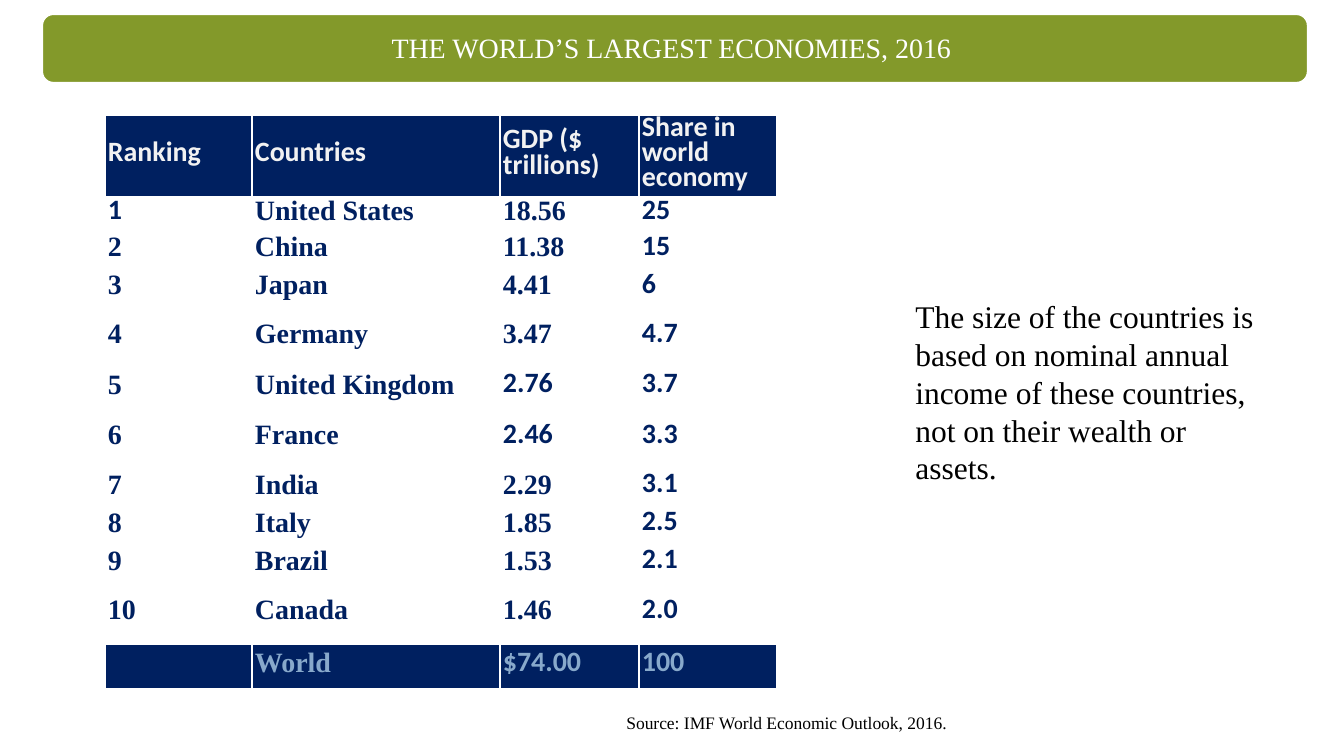
import pptx
import pptx.dml.color
import pptx.enum.shapes
import pptx.enum.text
import pptx.oxml
import pptx.oxml.ns
import pptx.util
from dataclasses import dataclass

SCALE = 914400 // 126
INK = {"white": "FFFFFF", "green": "83992A", "navy": "002060",
       "pale": "F2F2F2", "blue": "88A9CB", "black": "000000"}
FACES = {"C": "Calibri", "T": "Times New Roman"}
WIDTHS = [147, 248, 139, 138]


@dataclass
class Box:
    left: int
    top: int
    width: int
    height: int

    def emu(self) -> list[int]:
        return [px(n) for n in (self.left, self.top, self.width, self.height)]


@dataclass
class Row:
    height: int
    texts: list[str]
    faces: str = "TTTC"
    ink: str = "navy"
    fill: str = ""
    rule: float = 1


ROWS = [
    Row(83, ["Ranking", "Countries", "GDP ($ trillions)", "Share in world economy"],
        "CCCC", "pale", "navy", 3),
    Row(33, ["1", "United States", "18.56", "25"], "CTTC"),
    Row(38, ["2", "China", "11.38", "15"]),
    Row(38, ["3", "Japan", "4.41", "6"]),
    Row(61, ["4", "Germany", "3.47", "4.7"]),
    Row(40, ["5", "United Kingdom", "2.76", "3.7"], "TTCC"),
    Row(61, ["6", "France", "2.46", "3.3"], "TTCC"),
    Row(38, ["7", "India", "2.29", "3.1"]),
    Row(38, ["8", "Italy", "1.85", "2.5"]),
    Row(38, ["9", "Brazil", "1.53", "2.1"]),
    Row(61, ["10", "Canada", "1.46", "2.0"]),
    Row(36, ["", "World", "$74.00", "100"], "TTCC", "blue", "navy"),
]


def px(num: int) -> int:
    return num * SCALE


def hue(name: str) -> pptx.dml.color.RGBColor:
    return pptx.dml.color.RGBColor.from_string(INK[name])


def style(frame, face: str, size: int, ink: str, bold: bool = False) -> None:
    for para in frame.paragraphs:
        for run in para.runs:
            run.font.name = FACES[face]
            run.font.size = pptx.util.Pt(size)
            run.font.bold = bold
            run.font.color.rgb = hue(ink)


def edge(cell, rules: dict[str, float]) -> None:
    props = cell._tc.get_or_add_tcPr()
    for spot, (side, width) in enumerate(rules.items()):
        props.insert(spot, pptx.oxml.parse_xml(
            f'<a:{side} {pptx.oxml.ns.nsdecls("a")} w="{pptx.util.Pt(width)}">'
            f'<a:solidFill><a:srgbClr val="{INK["white"]}"/></a:solidFill></a:{side}>'))


def draw_cell(cell, text: str, face: str, row: Row, above: float) -> None:
    cell.margin_left = cell.margin_right = px(3)
    cell.margin_top = cell.margin_bottom = px(3)
    cell.vertical_anchor = pptx.enum.text.MSO_ANCHOR.MIDDLE
    if row.fill:
        cell.fill.solid()
        cell.fill.fore_color.rgb = hue(row.fill)
    else:
        cell.fill.background()
    edge(cell, {"lnL": 1, "lnR": 1, "lnT": above, "lnB": row.rule})
    frame = cell.text_frame
    frame.text = text
    frame.paragraphs[0].line_spacing = pptx.util.Pt(14.4)
    style(frame, face, 16, row.ink, True)


def draw_table(slide, left: int, top: int) -> None:
    box = Box(left, top, sum(WIDTHS), sum(row.height for row in ROWS))
    table = slide.shapes.add_table(len(ROWS), len(WIDTHS), *box.emu()).table
    table.first_row = table.horz_banding = False
    for col, width in zip(table.columns, WIDTHS):
        col.width = px(width)
    above = 1
    for line, row in zip(table.rows, ROWS):
        line.height = px(row.height)
        for cell, text, face in zip(line.cells, row.texts, row.faces):
            draw_cell(cell, text, face, row, above)
        above = row.rule


def draw_title(slide, text: str) -> None:
    bar = slide.shapes.add_shape(
        pptx.enum.shapes.MSO_SHAPE.ROUNDED_RECTANGLE, *Box(42, 14, 1266, 69).emu())
    bar.shadow.inherit = False
    bar.fill.solid()
    bar.fill.fore_color.rgb = hue("green")
    bar.line.color.rgb = hue("white")
    bar.line.width = pptx.util.Pt(1.25)
    title = slide.shapes.title
    title.left, title.top, title.width, title.height = Box(45, 18, 1260, 63).emu()
    title.element.addprevious(bar.element)
    frame = title.text_frame
    frame.text = text
    frame.word_wrap = True
    frame.auto_size = pptx.enum.text.MSO_AUTO_SIZE.NONE
    frame.vertical_anchor = pptx.enum.text.MSO_ANCHOR.MIDDLE
    frame.margin_left = frame.margin_right = px(9)
    frame.margin_top = frame.margin_bottom = px(9)
    para = frame.paragraphs[0]
    para.alignment = pptx.enum.text.PP_ALIGN.CENTER
    para.line_spacing = 0.9
    style(frame, "T", 16, "white")


def draw_note(slide, box: Box, text: str, size: int, wrap: bool) -> None:
    frame = slide.shapes.add_textbox(*box.emu()).text_frame
    frame.text = text
    frame.word_wrap = wrap
    style(frame, "T", size, "black")


def main() -> None:
    deck = pptx.Presentation()
    deck.slide_width, deck.slide_height = px(1344), px(756)
    slide = deck.slides.add_slide(deck.slide_layouts[5])
    draw_title(slide, "THE WORLD’S LARGEST ECONOMIES, 2016 ")
    draw_table(slide, 105, 115)
    draw_note(slide, Box(903, 291, 368, 276),
              "The size of the countries is based on nominal annual income of "
              "these countries, not on their wealth or assets.", 18, True)
    draw_note(slide, Box(614, 706, 377, 34),
              "Source: IMF World Economic Outlook, 2016.", 10, False)
    deck.save("out.pptx")


if __name__ == "__main__":
    main()
